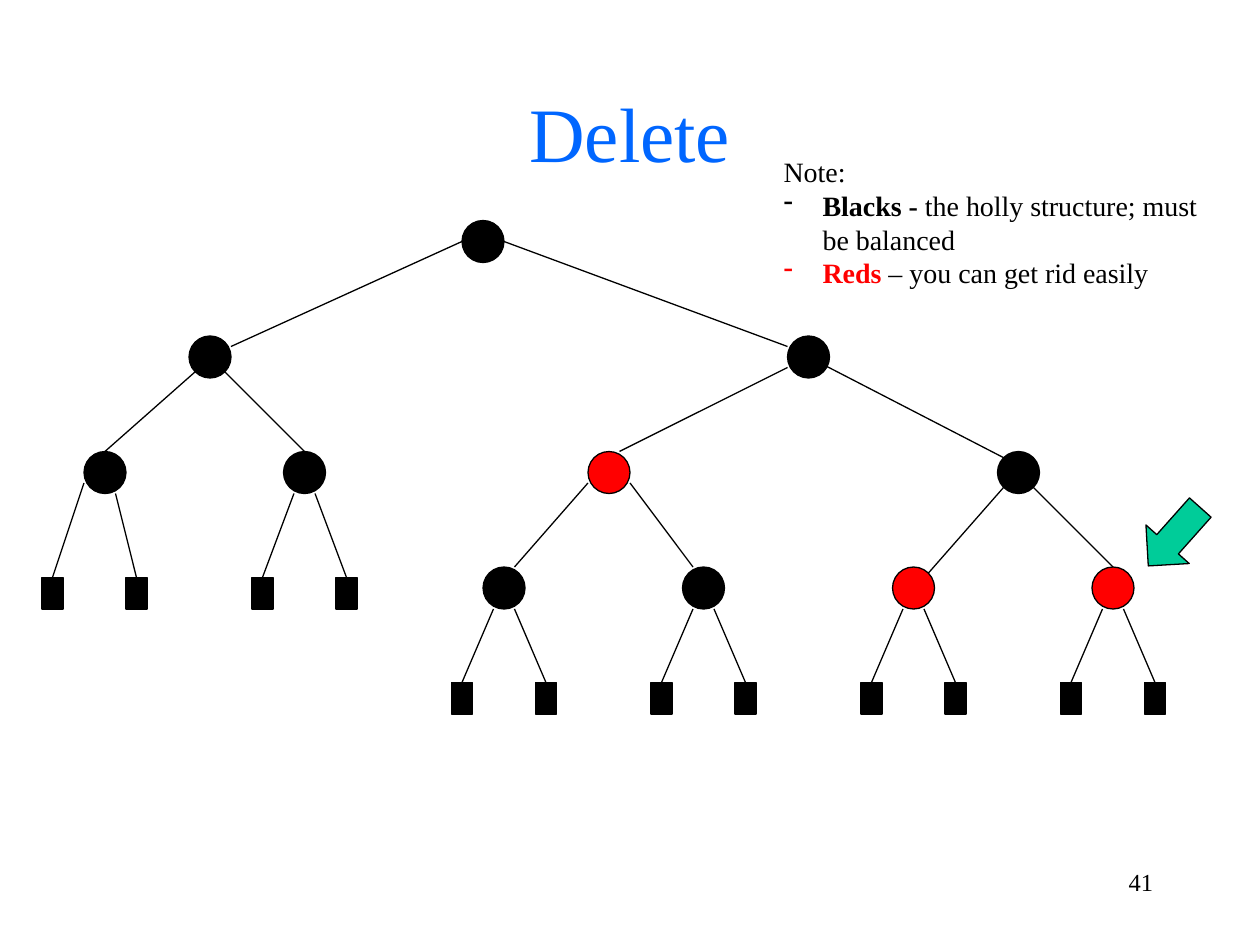
from lxml import etree
from pptx import Presentation
from pptx import util as u
from pptx.dml.color import RGBColor
from pptx.enum import shapes, text
from pptx.oxml.ns import qn

# Content: each node is name: (column, level, fill)
NODES = {
    "root": (46, 0, "ink"),
    "L": (20, 1, "ink"), "R": (77, 1, "ink"),
    "LL": (10, 2, "ink"), "LR": (29, 2, "ink"),
    "RL": (58, 2, "red"), "RR": (97, 2, "ink"),
    "RLL": (48, 3, "ink"), "RLR": (67, 3, "ink"),
    "RRL": (87, 3, "red"), "RRR": (106, 3, "red"),
}
# Parent, child, and where the edge meets each, as offsets from the centre
EDGES = [
    ("root", "L", (-2, 0), (2, -1)),
    ("root", "R", (2, 0), (-2, -1)),
    ("L", "LL", (-1.4, 1.4), (0, -2)),
    ("L", "LR", (1.4, 1.4), (0, -2)),
    ("R", "RL", (-2, 1), (1, -2)),
    ("R", "RR", (0, 0), (-1.4, -1.4)),
    ("RL", "RLL", (-2, 1), (1, -2)),
    ("RL", "RLR", (2, 1), (-1, -2)),
    ("RR", "RRL", (-1.4, 1.4), (1.4, -1.4)),
    ("RR", "RRR", (1.4, 1.4), (0, -2)),
]
# Leaf pair below a node: (edge start offset, leaf column offset)
PAIR = [((-1, 2), -4), ((1, 2), 4)]
PAIRS = {"LL": [((-2, 1), -5), ((1, 2), 3)]}
HOSTS = ["LL", "LR", "RLL", "RLR", "RRL", "RRR"]

# Paragraphs are lists of runs: (text, colour, bold)
NOTE = [
    [("Note:", "ink", False)],
    [("Blacks -", "ink", True),
     (" the holly structure; must be balanced", "ink", False)],
    [("Reds", "red", True), (" – you can get rid easily", "ink", False)],
]

THEME = {
    "font": "Times New Roman", "line": 0.75,
    "ink": "000000", "red": "FF0000", "blue": "0066FF", "green": "00CC99",
    "title": 44, "note": 16, "page": 14,
}

# Grid: 120 columns by 90 rows on a 10 by 7.5 inch slide
CELL = u.Inches(10) // 120
TOP, STEP = 23, 11
DISC, LEAF, DROP = 4, (2, 3), 9

deck = Presentation()
deck.slide_width, deck.slide_height = 120 * CELL, 90 * CELL
slide = deck.slides.add_slide(deck.slide_layouts[6])
parts = slide.shapes


def grid(*vals):
    return [round(v * CELL) for v in vals]


def hue(name):
    return RGBColor.from_string(THEME[name])


def shape(kind, x, y, w, h, fill, turn=0):
    """Place a filled shape by its centre."""
    item = parts.add_shape(kind, *grid(x - w / 2, y - h / 2, w, h))
    item.shadow.inherit = False
    item.fill.solid()
    item.fill.fore_color.rgb = hue(fill)
    item.line.color.rgb = hue("ink")
    item.line.width = u.Pt(THEME["line"])
    item.rotation = turn


def edge(x, y, x2, y2):
    item = parts.add_connector(shapes.MSO_CONNECTOR.STRAIGHT,
                               *grid(x, y, x2, y2))
    item.line.color.rgb = hue("ink")
    item.line.width = u.Pt(THEME["line"])
    etree.SubElement(item._element.spPr, qn("a:effectLst"))


def dash(para):
    """Give a paragraph a hanging dash bullet."""
    prop = para._p.get_or_add_pPr()
    prop.set("marL", str(u.Inches(0.31)))
    prop.set("indent", str(-u.Inches(0.31)))
    etree.SubElement(prop, qn("a:buChar")).set("char", "-")


def write(box, paras, size, align, anchor=text.MSO_ANCHOR.TOP):
    frame = parts.add_textbox(*grid(*box)).text_frame
    frame.word_wrap = True
    frame.vertical_anchor = anchor
    for i, runs in enumerate(paras):
        para = frame.add_paragraph() if i else frame.paragraphs[0]
        para.alignment = align
        if i:
            dash(para)
        for words, tint, bold in runs:
            run = para.add_run()
            run.text = words
            look = {"name": THEME["font"], "size": u.Pt(THEME[size]),
                    "bold": bold}
            for key, val in look.items():
                setattr(run.font, key, val)
            run.font.color.rgb = hue(tint)


def spot(name):
    col, level, _ = NODES[name]
    return col, TOP + STEP * level


# Page number and title
side = text.PP_ALIGN
write((86, 82, 25, 6), [[("41", "ink", False)]], "page", side.RIGHT)
write((0, 5, 120, 15), [[("Delete", "blue", False)]], "title", side.CENTER,
      text.MSO_ANCHOR.MIDDLE)

# Tree nodes
kinds = shapes.MSO_SHAPE
for name, (_, _, fill) in NODES.items():
    shape(kinds.OVAL, *spot(name), DISC, DISC, fill)

# Edges between nodes
for up, down, (dx, dy), (ex, ey) in EDGES:
    (x, y), (x2, y2) = spot(up), spot(down)
    edge(x + dx, y + dy, x2 + ex, y2 + ey)

# Leaves; those under the left subtree hang one row lower
for name in HOSTS:
    x, y = spot(name)
    top = y + DROP + (NODES[name][1] == 2)
    for (dx, dy), shift in PAIRS.get(name, PAIR):
        shape(kinds.RECTANGLE, x + shift, top + LEAF[1] / 2, *LEAF, "ink")
        edge(x + dx, y + dy, x + shift, top)

# Pointer and note
shape(kinds.LEFT_ARROW, 111.84, 51.12, 7.44, 5.52, "green", 311.7)
write((73.44, 14.16, 42.96, 14.16), NOTE, "note", side.LEFT)

deck.save("out.pptx")
